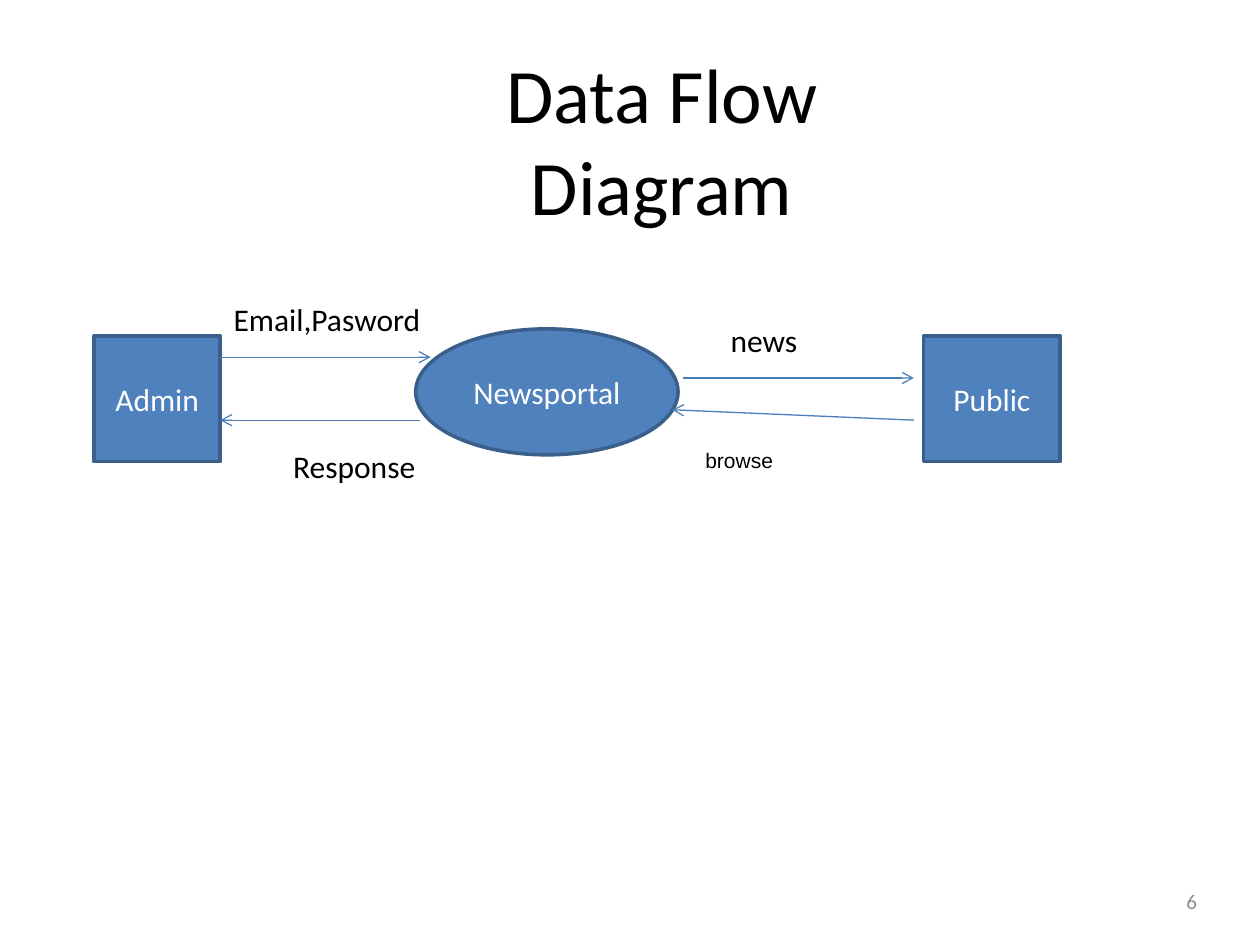
from dataclasses import dataclass

from lxml.etree import SubElement
from pptx import Presentation
from pptx.dml.color import RGBColor
from pptx.enum.shapes import MSO_CONNECTOR as Connector, MSO_SHAPE as Shape
from pptx.enum.text import MSO_ANCHOR as Anchor, MSO_AUTO_SIZE as AutoSize, PP_ALIGN as Align
from pptx.oxml.ns import qn
from pptx.util import Cm, Pt


@dataclass(frozen=True)
class Theme:
    font: str = "Calibri"
    small_font: str = "Arial"
    text: str = "000000"
    node_text: str = "FFFFFF"
    number: str = "8B8B8B"
    fill: str = "4F81BD"
    outline: str = "3A5F8B"
    arrow: str = "4A7EBB"
    title_size: int = 44
    body_size: int = 18
    small_size: int = 12


class DiagramSlide:
    """Holds the theme and the slide being drawn; lengths are in centimetres."""

    def __init__(self, slide, theme):
        self.slide = slide
        self.theme = theme

    def set_text(self, shape, text, size, color, align, font=None, anchor=Anchor.MIDDLE):
        frame = shape.text_frame
        frame.text = text
        frame.vertical_anchor = anchor
        paragraph = frame.paragraphs[0]
        paragraph.alignment = align
        paragraph.font.name = font or self.theme.font
        paragraph.font.size = Pt(size)
        paragraph.font.color.rgb = RGBColor.from_string(color)
        return frame

    def clear_margins(self, frame):
        frame.margin_left = frame.margin_right = 0
        frame.margin_top = frame.margin_bottom = 0
        frame.word_wrap = True
        frame.auto_size = AutoSize.NONE

    def title(self, text, left, top, width, height):
        shape = self.slide.shapes.title
        shape.left, shape.top = Cm(left), Cm(top)
        shape.width, shape.height = Cm(width), Cm(height)
        frame = self.set_text(shape, text, self.theme.title_size, self.theme.text, Align.CENTER)
        self.clear_margins(frame)

    def page_number(self, text, left, top, width, height):
        box = self.slide.shapes.add_textbox(Cm(left), Cm(top), Cm(width), Cm(height))
        frame = self.set_text(box, text, self.theme.small_size, self.theme.number, Align.RIGHT)
        self.clear_margins(frame)

    def node(self, kind, text, left, top, width, height):
        shape = self.slide.shapes.add_shape(kind, Cm(left), Cm(top), Cm(width), Cm(height))
        shape.shadow.inherit = False
        shape.fill.solid()
        shape.fill.fore_color.rgb = RGBColor.from_string(self.theme.fill)
        shape.line.color.rgb = RGBColor.from_string(self.theme.outline)
        shape.line.width = Pt(2)
        self.set_text(shape, text, self.theme.body_size, self.theme.node_text, Align.CENTER)

    def arrow(self, start_x, start_y, end_x, end_y):
        connector = self.slide.shapes.add_connector(
            Connector.STRAIGHT, Cm(start_x), Cm(start_y), Cm(end_x), Cm(end_y))
        connector.line.color.rgb = RGBColor.from_string(self.theme.arrow)
        connector.line.width = Pt(0.75)
        properties = connector._element.spPr
        SubElement(properties.find(qn("a:ln")), qn("a:tailEnd"), type="arrow")
        SubElement(properties, qn("a:effectLst"))

    def label(self, text, left, top, width, height, size=None, font=None):
        box = self.slide.shapes.add_textbox(Cm(left), Cm(top), Cm(width), Cm(height))
        frame = self.set_text(box, text, size or self.theme.body_size, self.theme.text,
                              Align.LEFT, font, Anchor.TOP)
        frame.word_wrap = False
        frame.auto_size = AutoSize.SHAPE_TO_FIT_TEXT


def main():
    presentation = Presentation()
    presentation.slide_width, presentation.slide_height = Cm(25.4), Cm(19.05)
    theme = Theme()
    title_only = presentation.slide_layouts[5]
    diagram = DiagramSlide(presentation.slides.add_slide(title_only), theme)

    # Title and page number
    diagram.title("Data Flow Diagram", 7.7, 0.91, 11.28, 3.76)
    diagram.page_number("6", 18.2, 17.8, 5.93, 0.75)

    # Entities and process
    diagram.node(Shape.RECTANGLE, "Admin", 1.9, 6.77, 2.54, 2.54)
    diagram.node(Shape.OVAL, "Newsportal", 8.38, 6.63, 5.29, 2.54)
    diagram.node(Shape.RECTANGLE, "Public", 18.62, 6.77, 2.75, 2.54)

    # Flows between admin and portal, then portal and public
    diagram.arrow(4.44, 7.2, 8.68, 7.2)
    diagram.arrow(8.47, 8.47, 4.44, 8.47)
    diagram.arrow(13.76, 7.62, 18.42, 7.62)
    diagram.arrow(18.42, 8.47, 13.55, 8.26)

    # Flow labels
    diagram.label("Email,Pasword", 4.46, 5.93, 5.1, 1.02)
    diagram.label("Response", 5.66, 8.89, 3.53, 1.02)
    diagram.label("news", 14.48, 6.35, 2.13, 1.02)
    diagram.label("browse", 13.97, 8.89, 1.88, 0.76, theme.small_size, theme.small_font)

    presentation.save("out.pptx")


if __name__ == "__main__":
    main()
